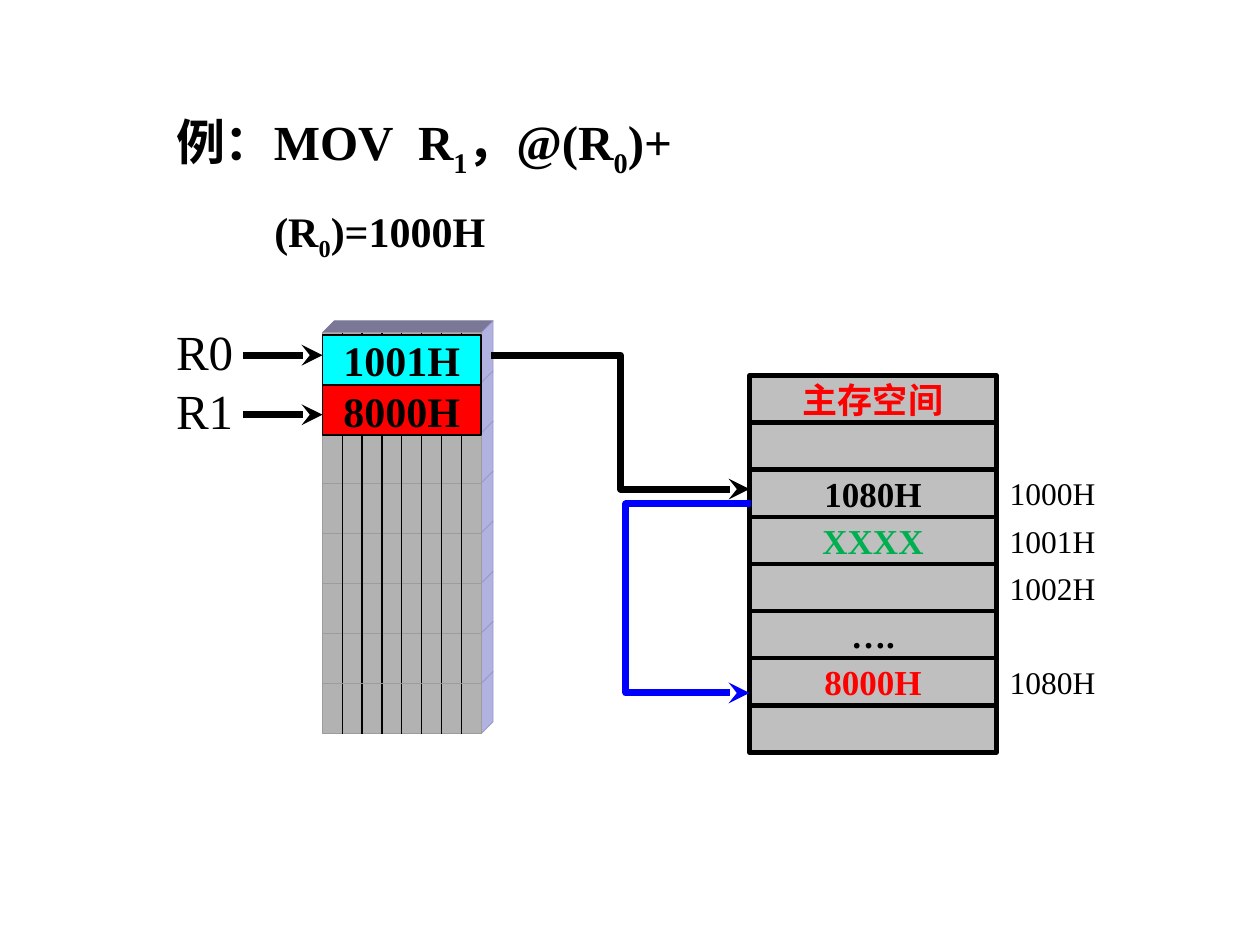
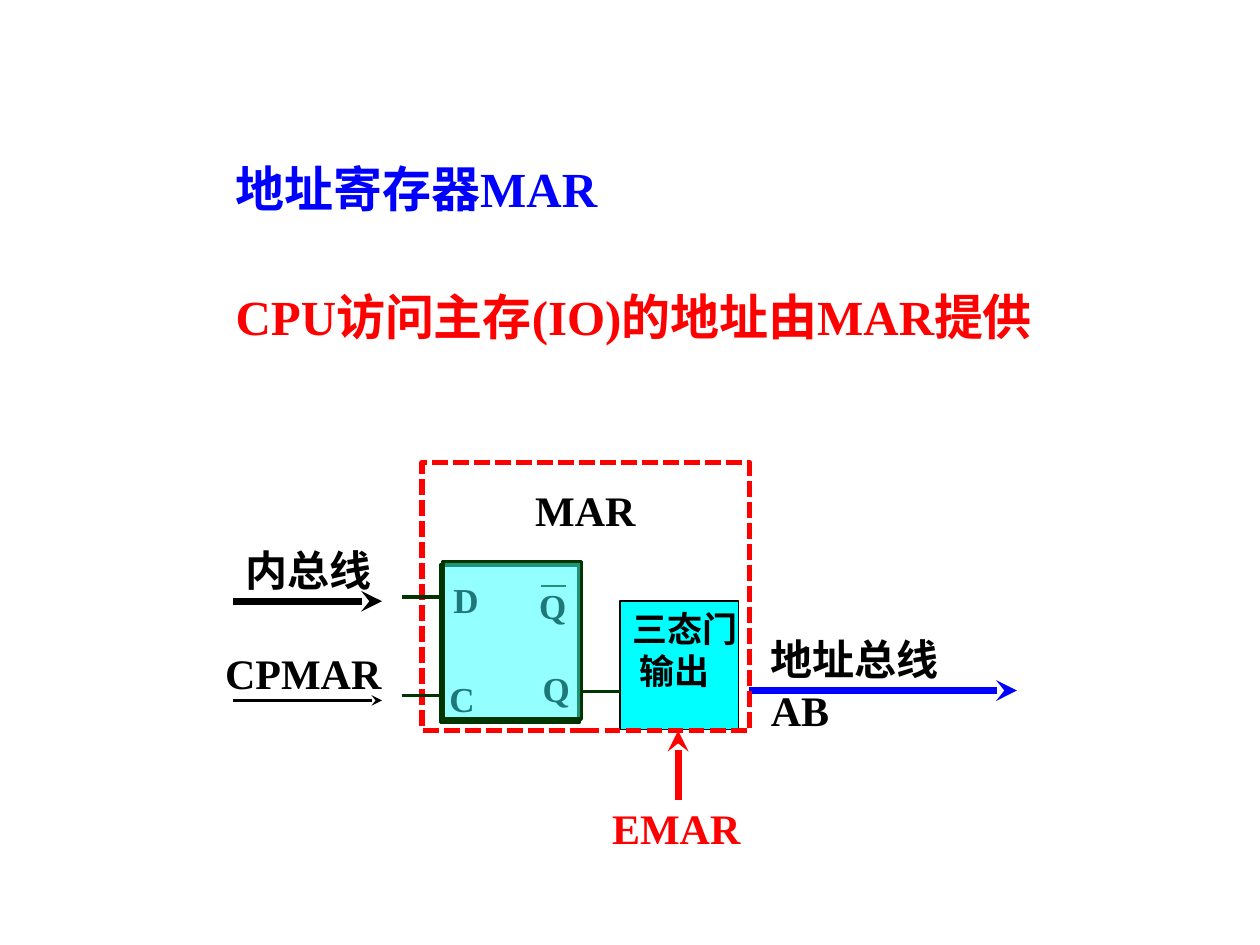
from dataclasses import dataclass
from typing import Optional, Sequence, Union

from lxml import etree
from pptx import Presentation
from pptx import util as u
from pptx.dml import color as dml
from pptx.enum import dml as line_styles, shapes, text
from pptx.oxml import ns


@dataclass(frozen=True)
class Theme:
    latin: str = "Times New Roman"
    cjk: str = "Noto Sans CJK SC"
    black: str = "000000"
    white: str = "FFFFFF"
    red: str = "FF0000"
    blue: str = "0000FF"
    cyan: str = "00FFFF"
    green: str = "00B050"
    memory: str = "BFBFBF"
    register_front: str = "B2B2B2"
    register_seam: str = "9C9C9C"
    register_side: str = "B2B2E0"
    register_side_seam: str = "9999CC"
    register_top: str = "7A7797"
    flip_flop: str = "DDFFFF"
    flip_flop_edge: str = "003400"
    highlight: str = "40FFFF"
    title: int = 28
    label: int = 24
    cell: int = 20
    address: int = 18


THEME = Theme()


@dataclass(frozen=True)
class Piece:
    text: str
    baseline: int = 0
    spacing: int = 0


def sub(digit: str) -> Piece:
    return Piece(digit, baseline=-25000)


Content = Union[str, Sequence[Piece]]


@dataclass(frozen=True)
class Label:
    content: Content
    left: float
    top: float
    width: float
    height: float = 1.27
    size: int = THEME.label
    color: str = THEME.black
    bold: bool = True
    wrap: bool = False


@dataclass(frozen=True)
class Box:
    left: float
    top: float
    width: float
    height: float
    fill: Optional[str] = None
    edge: Optional[str] = None
    weight: float = 1
    content: str = ""
    size: int = THEME.cell
    color: str = THEME.black
    bold: bool = True


@dataclass(frozen=True)
class Wire:
    x1: float
    y1: float
    x2: float
    y2: float
    color: str = THEME.black
    weight: float = 4
    arrow: bool = True
    elbow_x: Optional[float] = None


@dataclass(frozen=True)
class MemoryRow:
    value: str = ""
    color: str = THEME.black
    address: str = ""


def rgb(value: str) -> dml.RGBColor:
    return dml.RGBColor.from_string(value)


def style_run(run, size: int, color: str, bold: bool, latin: str = THEME.latin) -> None:
    run.font.size = u.Pt(size)
    run.font.bold = bold
    run.font.name = latin
    run.font.color.rgb = rgb(color)
    east_asian = etree.SubElement(run.font._element, ns.qn("a:ea"))
    east_asian.set("typeface", THEME.cjk)


def draw_label(slide, label: Label) -> None:
    frame = slide.shapes.add_textbox(
        *map(u.Cm, (label.left, label.top, label.width, label.height))).text_frame
    frame.word_wrap = label.wrap
    pieces = [Piece(label.content)] if isinstance(label.content, str) else label.content
    for piece in pieces:
        run = frame.paragraphs[0].add_run()
        run.text = piece.text
        style_run(run, label.size, label.color, label.bold)
        if piece.baseline:
            run.font._element.set("baseline", str(piece.baseline))
        if piece.spacing:
            run.font._element.set("spc", str(piece.spacing))


def paint(shape, fill: Optional[str], edge: Optional[str], weight: float) -> None:
    shape.shadow.inherit = False
    if fill:
        shape.fill.solid()
        shape.fill.fore_color.rgb = rgb(fill)
    else:
        shape.fill.background()
    if edge:
        shape.line.color.rgb = rgb(edge)
        shape.line.width = u.Pt(weight)
    else:
        shape.line.fill.background()


def draw_box(slide, box: Box):
    shape = slide.shapes.add_shape(
        shapes.MSO_SHAPE.RECTANGLE, *map(u.Cm, (box.left, box.top, box.width, box.height)))
    paint(shape, box.fill, box.edge, box.weight)
    if box.content:
        frame = shape.text_frame
        frame.text = box.content
        frame.word_wrap = False
        frame.vertical_anchor = text.MSO_ANCHOR.MIDDLE
        frame.paragraphs[0].alignment = text.PP_ALIGN.CENTER
        style_run(frame.paragraphs[0].runs[0], box.size, box.color, box.bold)
    return shape


def draw_wire(slide, wire: Wire) -> None:
    kind = shapes.MSO_CONNECTOR.STRAIGHT if wire.elbow_x is None else shapes.MSO_CONNECTOR.ELBOW
    connector = slide.shapes.add_connector(
        kind, *map(u.Cm, (wire.x1, wire.y1, wire.x2, wire.y2)))
    connector.line.color.rgb = rgb(wire.color)
    connector.line.width = u.Pt(wire.weight)
    properties = connector._element.spPr
    if wire.elbow_x is not None:
        share = (wire.elbow_x - wire.x1) / (wire.x2 - wire.x1)
        guide = etree.SubElement(properties.find(".//" + ns.qn("a:avLst")), ns.qn("a:gd"))
        guide.set("name", "adj1")
        guide.set("fmla", f"val {round(share * 100000)}")
    if wire.arrow:
        etree.SubElement(connector.line._get_or_add_ln(), ns.qn("a:tailEnd")).set("type", "stealth")
    etree.SubElement(properties, ns.qn("a:effectLst"))


def draw_face(slide, corners, fill: str, edge: str) -> None:
    points = [(u.Cm(x), u.Cm(y)) for x, y in corners]
    outline = slide.shapes.build_freeform(*points[0])
    outline.add_line_segments(points[1:], close=True)
    paint(outline.convert_to_shape(), fill, edge, 0.5)


def draw_register_file(slide, left: float, top: float, width: float, pitch: float,
                       depth: float = 0.24, rows: int = 8, bits: int = 8) -> None:
    right = left + width
    draw_face(slide, [(left, top), (left + depth, top - depth),
                      (right + depth, top - depth), (right, top)],
              THEME.register_top, THEME.register_top)
    for row in range(rows):
        upper, lower = top + row * pitch, top + (row + 1) * pitch
        draw_face(slide, [(right, upper), (right + depth, upper - depth),
                          (right + depth, lower - depth), (right, lower)],
                  THEME.register_side, THEME.register_side_seam)
        draw_box(slide, Box(left, upper, width, pitch,
                            THEME.register_front, THEME.register_seam, 0.5))
        for bit in range(1, bits):
            x = left + bit * width / bits
            draw_wire(slide, Wire(x, upper, x, lower, weight=0.75, arrow=False))


def draw_memory(slide, left: float, top: float, rows: Sequence[MemoryRow]) -> None:
    width, pitch, address_left, address_width = 4.98, 0.95, 19.91, 2.62
    for index, row in enumerate(rows):
        y = top + index * pitch
        draw_box(slide, Box(address_left, y, address_width, pitch, THEME.white,
                            content=row.address, size=THEME.address, bold=False))
        draw_box(slide, Box(left, y, width, pitch, THEME.memory, THEME.black, 2.5,
                            content=row.value, color=row.color))


def build_indirect_addressing(slide) -> None:
    gap = Piece(" ", spacing=700)
    draw_label(slide, Label(
        [Piece("例：MOV"), gap, Piece("R"), sub("1"), Piece("，@(R"), sub("0"), Piece(")+")],
        3.3, 2.13, 15.8, 1.45, THEME.title, wrap=True))
    draw_label(slide, Label([Piece("(R"), sub("0"), Piece(")=1000H")], 5.28, 4.01, 4.85))

    register_left, register_width, register_pitch = 6.5, 3.2, 1.01
    draw_register_file(slide, register_left, 6.71, register_width, register_pitch)
    registers = [("R0", "1001H", THEME.cyan), ("R1", "8000H", THEME.red)]
    for index, (name, value, fill) in enumerate(registers):
        offset = index * 1.2
        draw_label(slide, Label(name, 3.3, 6.35 + offset, 1.68, 1.45, THEME.title, bold=False))
        draw_wire(slide, Wire(4.9, 7.16 + offset, register_left, 7.16 + offset))
        draw_box(slide, Box(register_left, 6.76 + index * register_pitch, register_width, 1,
                            fill, THEME.black, content=value, size=THEME.label))

    memory_left = 15.11
    draw_memory(slide, memory_left, 7.57, [
        MemoryRow("主存空间", THEME.red),
        MemoryRow(),
        MemoryRow("1080H", address="1000H"),
        MemoryRow("XXXX", THEME.green, "1001H"),
        MemoryRow(address="1002H"),
        MemoryRow("…."),
        MemoryRow("8000H", THEME.red, "1080H"),
        MemoryRow(),
    ])
    draw_wire(slide, Wire(9.9, 7.16, memory_left, 9.86, elbow_x=12.51))
    draw_wire(slide, Wire(15.14, 10.16, memory_left, 13.97, THEME.blue, elbow_x=12.62))


def draw_output_gate(slide) -> None:
    gate = draw_box(slide, Box(12.5, 12.12, 2.39, 2.59, THEME.cyan, THEME.black))
    frame = gate.text_frame
    frame.text = "三态门\n输出"
    frame.word_wrap = False
    frame.vertical_anchor = text.MSO_ANCHOR.TOP
    for paragraph in frame.paragraphs:
        paragraph.alignment = text.PP_ALIGN.JUSTIFY
        style_run(paragraph.runs[0], THEME.cell, THEME.black, True, THEME.cjk)
    frame.paragraphs[1]._p.get_or_add_pPr().set("marL", str(u.Cm(0.15)))


def build_address_register(slide) -> None:
    for heading in (
        Label("地址寄存器MAR", 4.5, 3.07, 13.97, 1.45, THEME.title, THEME.blue, wrap=True),
        Label("CPU访问主存(IO)的地址由MAR提供", 4.5, 5.66, 17, 1.45, THEME.title, THEME.red,
              wrap=True),
    ):
        draw_label(slide, heading)

    for signal, wire in (
        (Label("地址总线AB", 15.29, 12.65, 5, wrap=True),
         Wire(15.09, 13.92, 20.5, 13.92, THEME.blue)),
        (Label("内总线", 4.7, 10.85, 3.1), Wire(4.7, 12.12, 7.7, 12.12)),
        (Label("CPMAR", 4.29, 12.93, 3.71), Wire(4.7, 14.12, 7.7, 14.12, weight=2)),
        (Label("EMAR", 12.09, 16.05, 3.12, color=THEME.red),
         Wire(13.67, 16.13, 13.67, 14.73, THEME.red)),
    ):
        draw_wire(slide, wire)
        draw_label(slide, signal)

    draw_output_gate(slide)
    boundary = draw_box(slide, Box(8.51, 9.32, 6.6, 5.41, edge=THEME.red, weight=3))
    boundary.line.dash_style = line_styles.MSO_LINE.SQUARE_DOT
    draw_label(slide, Label("MAR", 10.54, 9.65, 2.57))

    draw_box(slide, Box(8.88, 11.39, 2.79, 3.18, THEME.flip_flop, THEME.flip_flop_edge, 2))
    for pin, left, top in (("D", 8.89, 11.53), ("C", 8.81, 13.54),
                           ("Q", 10.69, 13.34), ("Q", 10.62, 11.66)):
        draw_label(slide, Label(pin, left, top, 1.4, 1, THEME.cell, wrap=True))
    for x1, x2, y, weight in ((12.5, 11.66, 13.94, 2), (8.84, 8.1, 12.04, 2),
                              (8.84, 8.1, 14.02, 2), (10.9, 11.4, 11.81, 1.5)):
        draw_wire(slide, Wire(x1, y, x2, y, THEME.flip_flop_edge, weight, arrow=False))

    highlight = draw_box(slide, Box(8.93, 11.32, 2.79, 3.18, THEME.highlight,
                                    THEME.flip_flop_edge, 2))
    tint = highlight._element.spPr.find(ns.qn("a:solidFill")).find(ns.qn("a:srgbClr"))
    etree.SubElement(tint, ns.qn("a:alpha")).set("val", "47000")


def main() -> None:
    deck = Presentation()
    deck.slide_width, deck.slide_height = u.Cm(25.4), u.Cm(19.05)
    for build in (build_indirect_addressing, build_address_register):
        build(deck.slides.add_slide(deck.slide_layouts[6]))
    deck.save("out.pptx")


if __name__ == "__main__":
    main()
